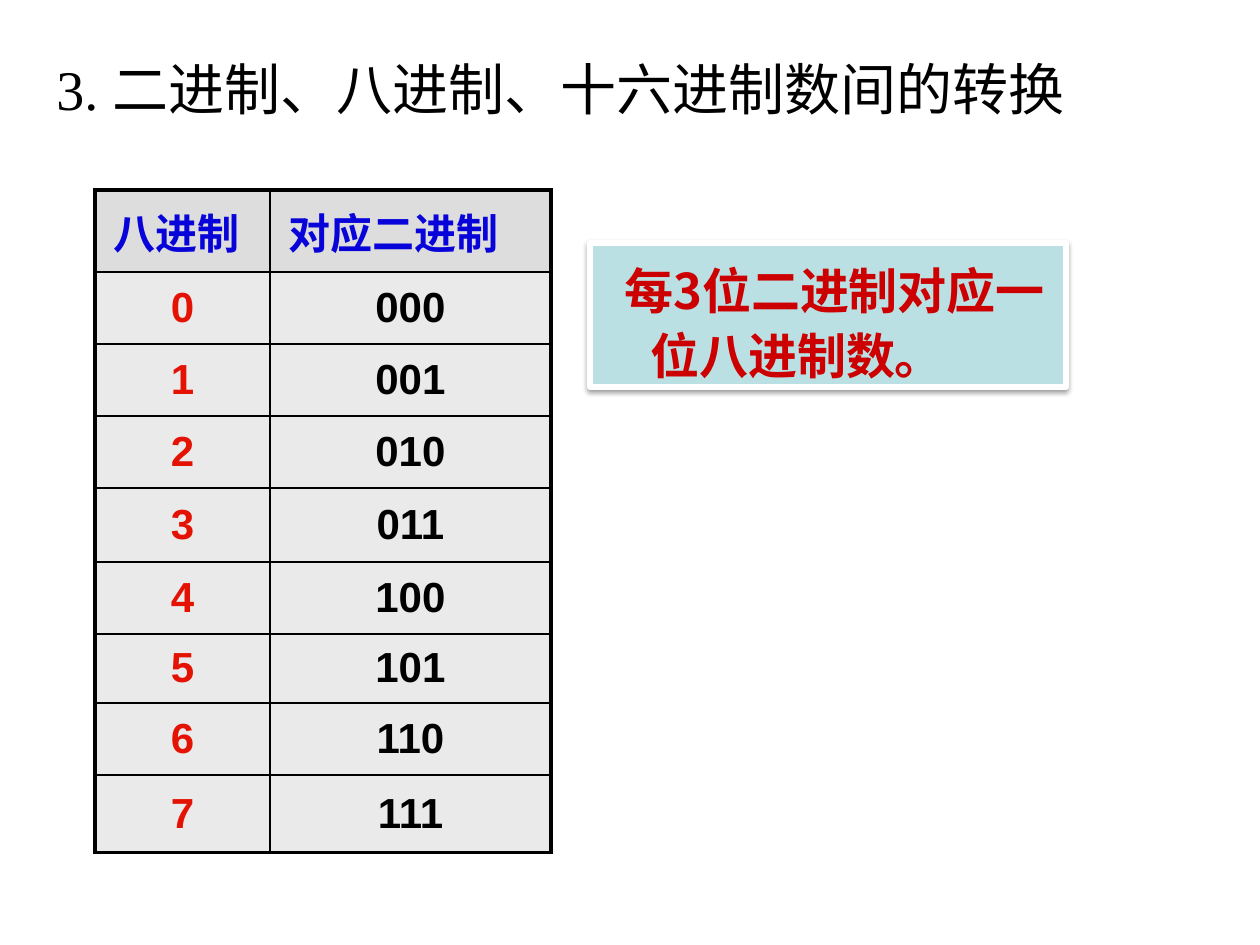
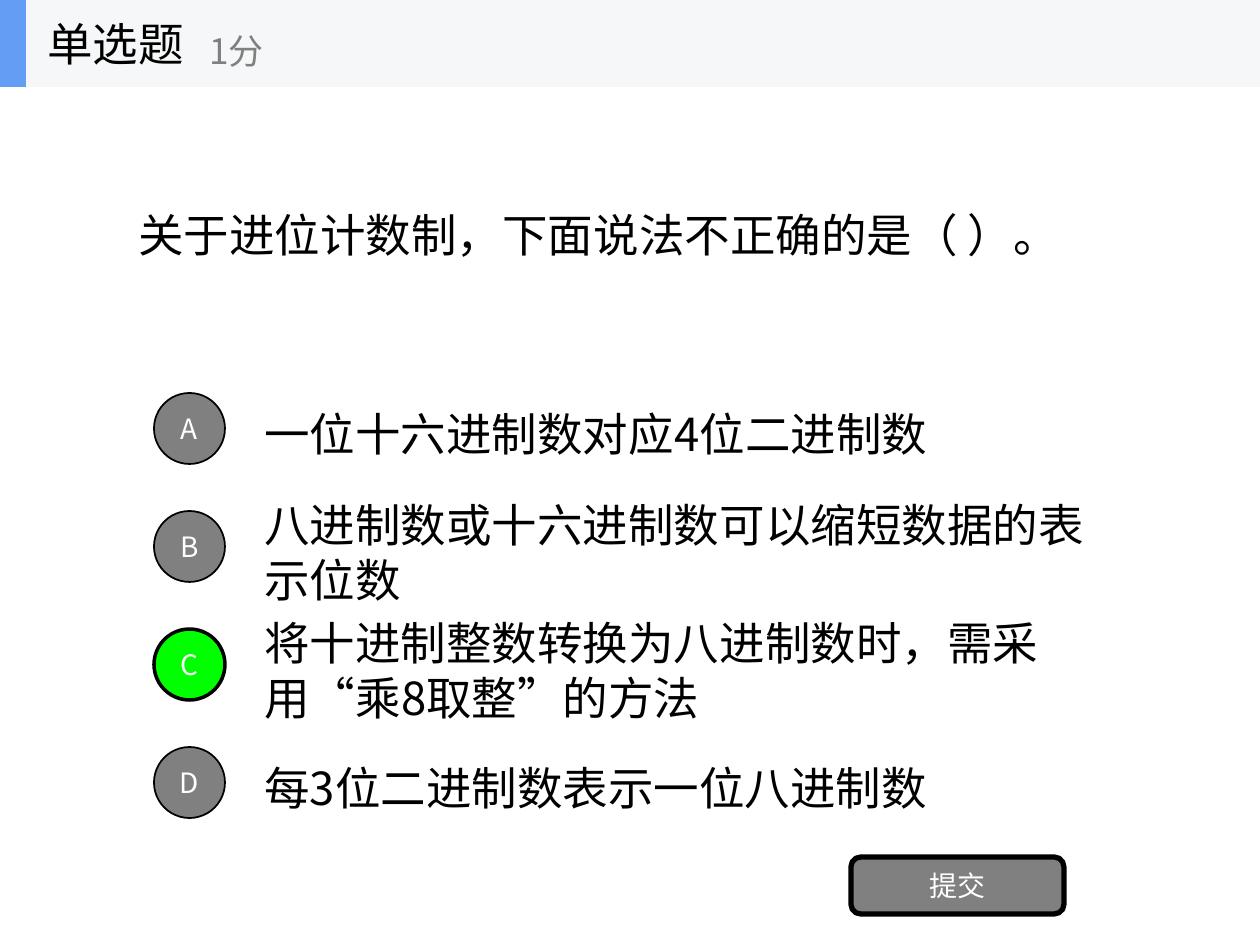
import pptx
import pptx.util
import pptx.dml.color
import pptx.enum.shapes
import pptx.enum.text
import pptx.oxml
import pptx.oxml.ns
import lxml.etree

SANS = "Noto Sans CJK SC"
SERIF = "Times New Roman"
BLACK, WHITE, GREY = "000000", "FFFFFF", "808080"
SHAPE = pptx.enum.shapes.MSO_SHAPE
ALIGN = pptx.enum.text.PP_ALIGN
ANCHOR = pptx.enum.text.MSO_ANCHOR


def px(n):
    return pptx.util.Emu(round(n * 914400 / 126))


def tint(code):
    return pptx.dml.color.RGBColor.from_string(code)


def node(host, tag, **attrs):
    item = lxml.etree.SubElement(host, pptx.oxml.ns.qn("a:" + tag))
    for key, value in attrs.items():
        item.set(key, str(value))
    return item


def write(frame, text, size, color, font=SANS, bold=False, align=ALIGN.LEFT):
    para = frame.paragraphs[0]
    run = para.add_run()
    run.text = text
    para.alignment = align
    para.font.name = font
    para.font.size = pptx.util.Pt(size)
    para.font.bold = bold
    para.font.color.rgb = tint(color)
    node(run._r.get_or_add_rPr(), "latin", typeface=font)
    node(run._r.get_or_add_rPr(), "ea", typeface=SANS)
    return para


def label(slide, box, text, size, color=BLACK, wrap=True, font=SANS,
          anchor=ANCHOR.MIDDLE):
    frame = slide.shapes.add_textbox(*map(px, box)).text_frame
    frame.word_wrap = wrap
    frame.vertical_anchor = anchor
    write(frame, text, size, color, font)
    return frame


def block(slide, kind, box, fill, line=None, width=1):
    shape = slide.shapes.add_shape(kind, *map(px, box))
    shape.shadow.inherit = False
    shape.fill.solid()
    shape.fill.fore_color.rgb = tint(fill)
    if line:
        shape.line.color.rgb = tint(line)
        shape.line.width = pptx.util.Pt(width)
    else:
        shape.line.fill.background()
    return shape


def button(slide, kind, box, text, fill, width):
    shape = block(slide, kind, box, fill, BLACK, width)
    frame = shape.text_frame
    frame.margin_left = frame.margin_right = 0
    frame.vertical_anchor = ANCHOR.MIDDLE
    write(frame, text, 16, WHITE, align=ALIGN.CENTER)
    return shape


def edge(cell, widths):
    props = cell._tc.get_or_add_tcPr()
    for at, (tag, width) in enumerate(zip(("lnL", "lnR", "lnT", "lnB"), widths)):
        line = node(props, tag, w=pptx.util.Pt(width))
        node(node(line, "solidFill"), "srgbClr", val=BLACK)
        props.insert(at, line)


def grid(slide, left, top):
    cols = (175, 281)
    rows = (82, 72, 72, 72, 74, 72, 69, 72, 78)
    data = [("八进制", "对应二进制")]
    data += [(str(n), f"{n:03b}") for n in range(8)]
    box = (left, top, sum(cols), sum(rows))
    table = slide.shapes.add_table(len(rows), len(cols), *map(px, box)).table
    for col, width in zip(table.columns, cols):
        col.width = px(width)
    for r, (height, words) in enumerate(zip(rows, data)):
        table.rows[r].height = px(height)
        head = r == 0
        for c, text in enumerate(words):
            cell = table.cell(r, c)
            cell.vertical_anchor = ANCHOR.MIDDLE
            cell.margin_left = px(19 if head else 9)
            cell.margin_right = px(9)
            cell.margin_top = cell.margin_bottom = px(5)
            cell.fill.solid()
            cell.fill.fore_color.rgb = tint("DDDDDD" if head else "EAEAEA")
            outer = (c == 0, c == 1, head, r == len(rows) - 1)
            edge(cell, [2.25 if out else 1 for out in outer])
            if head:
                write(cell.text_frame, text, 24, "0803D9", bold=True)
            else:
                write(cell.text_frame, text, 24, ("E41202", BLACK)[c], "Arial",
                      True, ALIGN.CENTER)


def shade(shape):
    glow = shape._element.spPr.find(pptx.oxml.ns.qn("a:effectLst"))
    drop = node(glow, "outerShdw", blurRad=pptx.util.Pt(3.1),
                dist=pptx.util.Pt(1.6), dir=5400000, algn="t", rotWithShape=0)
    node(node(drop, "srgbClr", val=BLACK), "alpha", val=38000)


def note(slide, box):
    shape = block(slide, SHAPE.RECTANGLE, box, "BBE0E3", WHITE, 3)
    shade(shape)
    frame = shape.text_frame
    frame.word_wrap = True
    frame.vertical_anchor = ANCHOR.TOP
    frame.margin_top = px(12)
    para = write(frame, "每3位二进制对应一位八进制数。", 28, "CC0000", bold=True)
    para.line_spacing = pptx.util.Pt(37)
    props = para._p.get_or_add_pPr()
    props.set("marL", str(px(48)))
    props.set("indent", str(px(-26)))


def lesson(slide):
    frame = label(slide, (44, 55, 1062, 78), "3. 二进制、八进制、十六进制数间的转换",
                  32, font=SERIF, anchor=ANCHOR.TOP)
    frame.margin_top = 0
    grid(slide, 95, 190)
    note(slide, (590, 243, 476, 144))


def header(slide, left, top):
    high = 87
    block(slide, SHAPE.RECTANGLE, (left, top, 1260, high), "F6F7F8")
    block(slide, SHAPE.RECTANGLE, (left, top, 26, high), "639EF4")
    label(slide, (left + 35, top, 262, high), "单选题", 26, wrap=False)
    label(slide, (left + 197, top + 15, 315, 71), "1分", 20, GREY, wrap=False)


def choice(slide, left, top, mark, text, right):
    frame = label(slide, (left + 98, top, 882, 88), text, 26)
    frame.margin_top = px(18)
    frame.paragraphs[0].line_spacing = pptx.util.Pt(31)
    button(slide, SHAPE.OVAL, (left, top + 9, 71, 71), mark,
           "00FF00" if right else GREY, 2 if right else 1)


def quiz(slide):
    label(slide, (126, 87, 1008, 295), "关于进位计数制，下面说法不正确的是（ ）。", 26)
    options = (
        "一位十六进制数对应4位二进制数",
        "八进制数或十六进制数可以缩短数据的表示位数",
        "将十进制整数转换为八进制数时，需采用“乘8取整”的方法",
        "每3位二进制数表示一位八进制数",
    )
    for i, (mark, text) in enumerate(zip("ABCD", options)):
        choice(slide, 154, 384 + 118 * i, mark, text, mark == "C")
    send = button(slide, SHAPE.ROUNDED_RECTANGLE, (851, 857, 213, 57), "提交", GREY, 3)
    send.adjustments[0] = 0.17
    header(slide, 0, 0)


def main():
    deck = pptx.Presentation()
    deck.slide_width, deck.slide_height = px(1260), px(945)
    for build in (lesson, quiz):
        build(deck.slides.add_slide(deck.slide_layouts[6]))
    deck.save("out.pptx")


if __name__ == "__main__":
    main()
